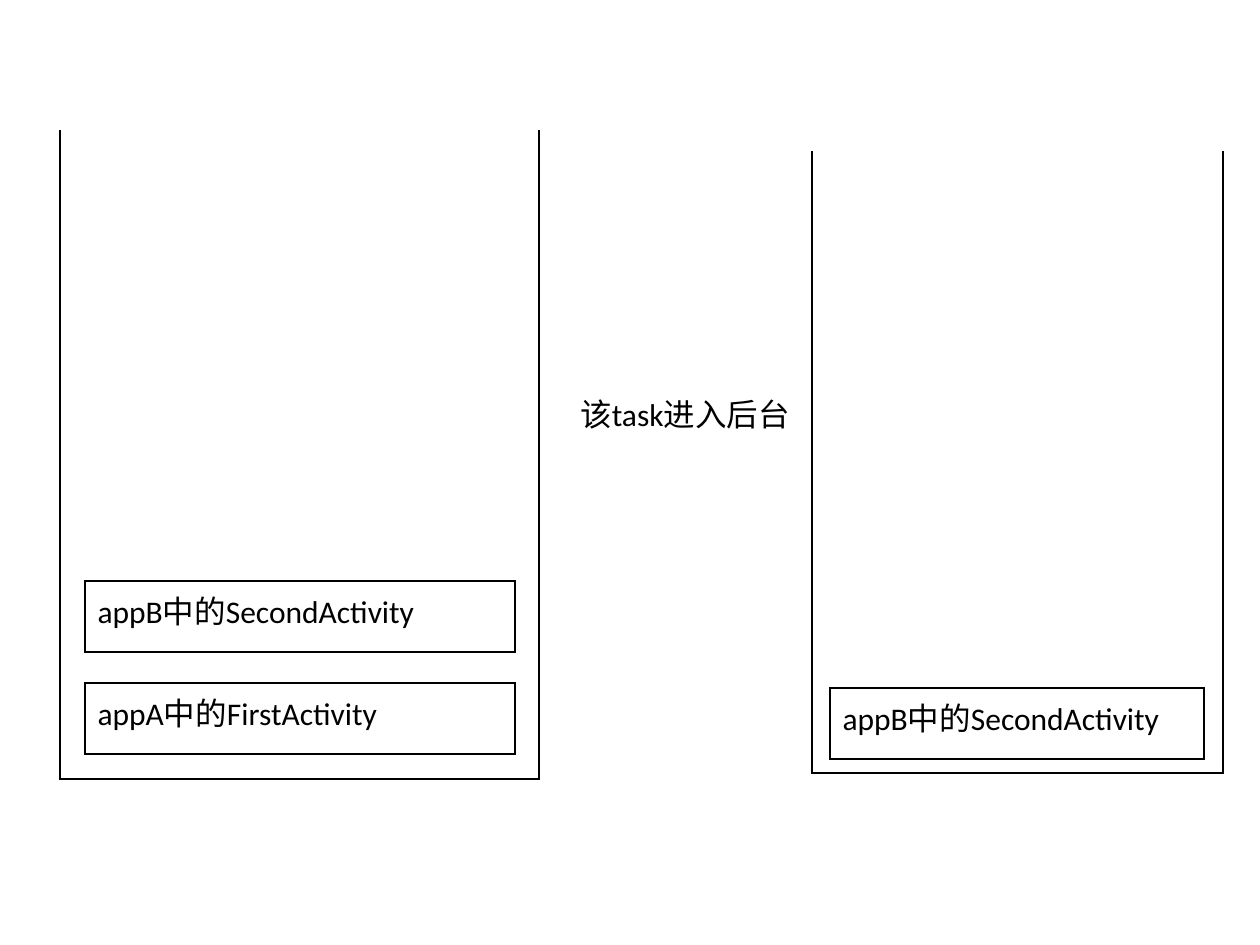
from lxml.etree import SubElement
from pptx import Presentation
from pptx.dml.color import RGBColor
from pptx.enum.text import MSO_AUTO_SIZE as Auto
from pptx.oxml.ns import qn
from pptx.util import Pt

SCALE = 914400 / 126
INK = "000000"
CARD = 71


def px(n):
    return round(n * SCALE)


def color(code):
    return RGBColor.from_string(code)


def write(frame, text):
    run = frame.paragraphs[0].add_run()
    run.text = text
    run.font.size = Pt(18)
    run.font.name = "Calibri"
    run.font.color.rgb = color(INK)


def border(cell, sides):
    """Draw the named sides (of L, R, T, B) and clear the others."""
    props = cell._tc.get_or_add_tcPr()
    for side in "LRTB":
        line = SubElement(props, qn(f"a:ln{side}"), w=str(Pt(1)))
        if side in sides:
            fill = SubElement(line, qn("a:solidFill"))
            SubElement(fill, qn("a:srgbClr"), val=INK)
        else:
            SubElement(line, qn("a:noFill"))
    cell.fill.background()


def grid(slide, x, y, w, rows, sides):
    """Add a one-column table and return its cells."""
    table = slide.shapes.add_table(
        len(rows), 1, px(x), px(y), px(w), px(sum(rows))).table
    table.first_row = table.horz_banding = False
    for row, h, edge in zip(table.rows, rows, sides):
        row.height = px(h)
        border(row.cells[0], edge)
    return [row.cells[0] for row in table.rows]


def stack(slide, x, y, w, rows, inset, cards):
    """Open-topped task stack; cards pair a top offset with a label."""
    grid(slide, x, y, w, rows, ["LR", "LRB"])
    left, width = inset
    for top, label in cards:
        cell, = grid(slide, x + left, y + top, width, [CARD], ["LRTB"])
        write(cell.text_frame, label)


def note(slide, x, y, w, h, text):
    frame = slide.shapes.add_textbox(px(x), px(y), px(w), px(h)).text_frame
    frame.word_wrap = True
    frame.auto_size = Auto.SHAPE_TO_FIT_TEXT
    write(frame, text)


def main():
    deck = Presentation()
    deck.slide_width, deck.slide_height = px(1260), px(945)
    slide = deck.slides.add_slide(deck.slide_layouts[6])
    stack(slide, 60, 130, 479, [317, 332], (25, 430),
          [(553, "appA中的FirstActivity"), (451, "appB中的SecondActivity")])
    note(slide, 568, 389, 262, 50, "该task进入后台")
    stack(slide, 812, 151, 411, [317, 305], (18, 374),
          [(537, "appB中的SecondActivity")])
    deck.save("out.pptx")


if __name__ == "__main__":
    main()
